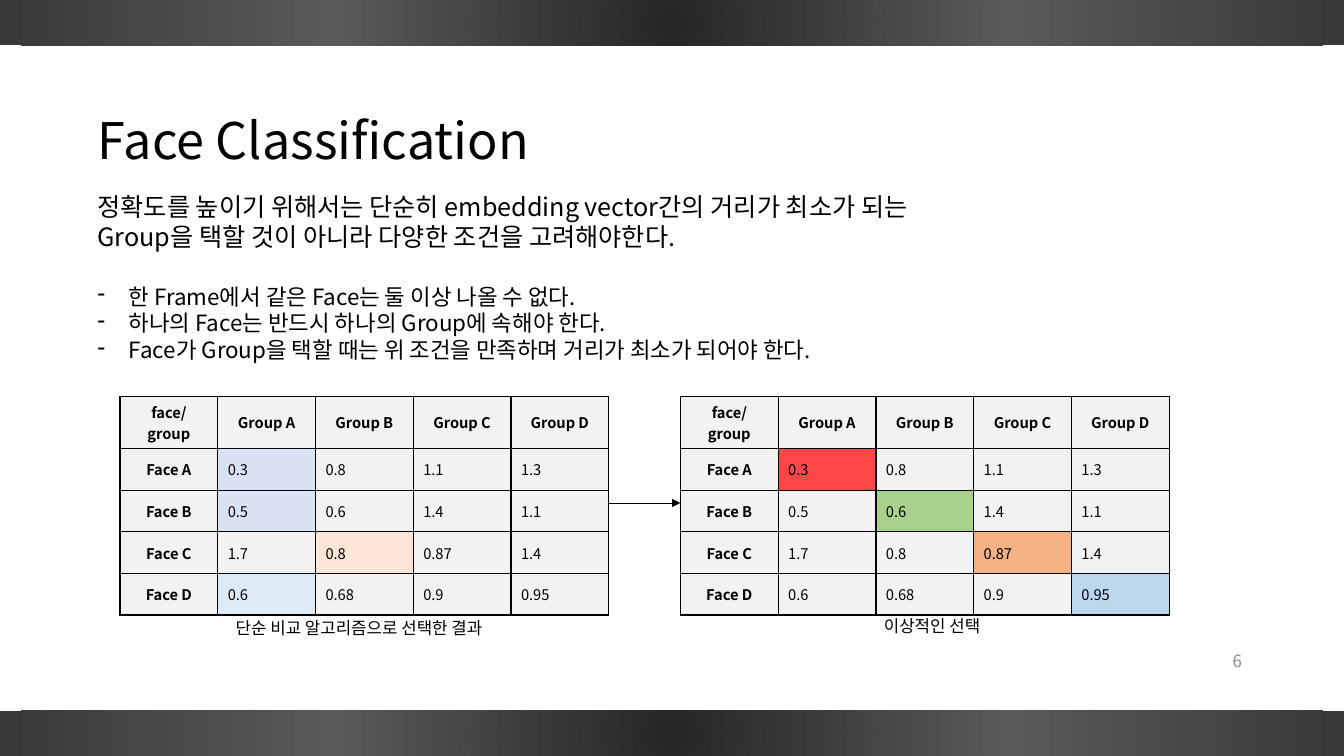
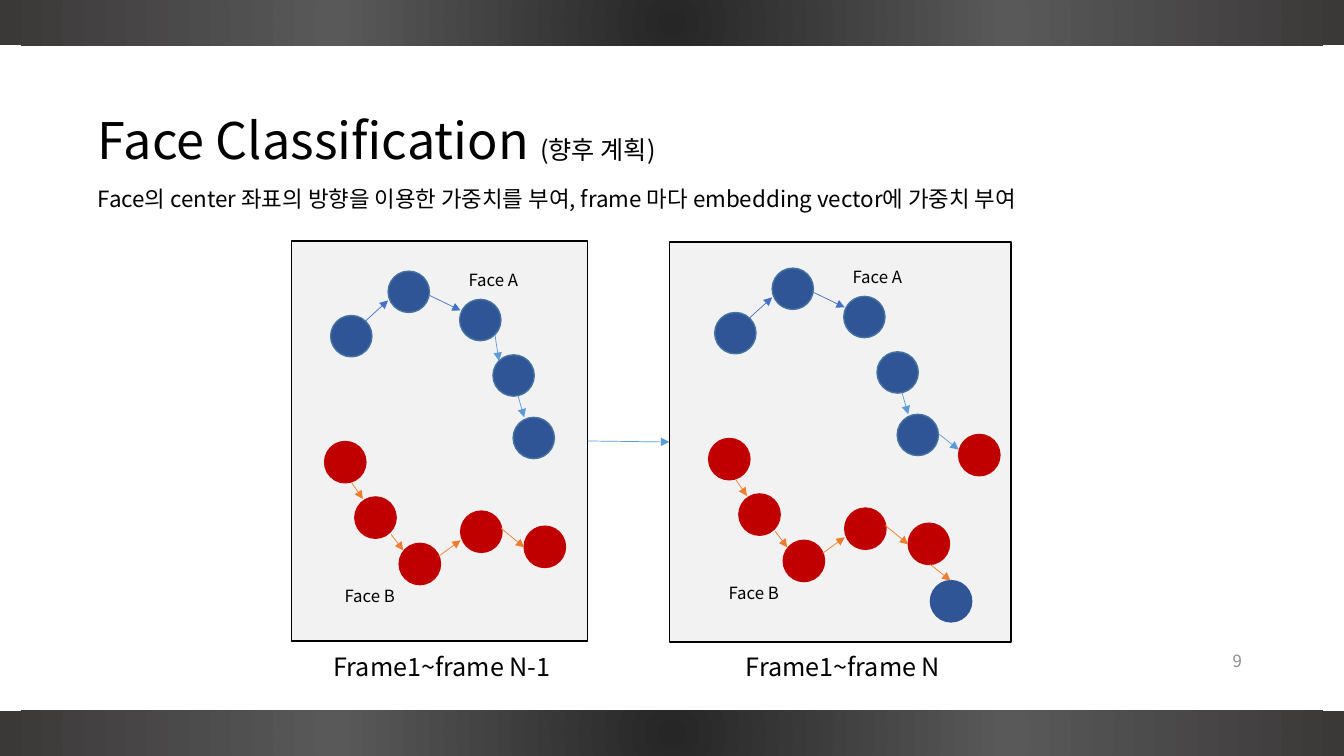
from lxml.etree import SubElement as Sub
from pptx import Presentation
from pptx.dml.color import RGBColor as RGB
from pptx.enum.shapes import MSO_CONNECTOR as LINK, MSO_SHAPE as KIND
from pptx.enum.text import MSO_ANCHOR as ANCHOR, MSO_AUTO_SIZE as AUTO, PP_ALIGN as ALIGN
from pptx.oxml import parse_xml
from pptx.oxml.ns import nsdecls, qn
from pptx.util import Inches, Pt

FONT = "Noto Sans CJK KR"
WIDE, HIGH = 133.33, 75
HEX = {
    "black": "000000", "gray": "8C8C8C", "pale": "F2F2F2",
    "dark": "262626", "mid": "595959", "edge": "3B3838",
    "mist": "DAE3F3", "peach": "FBE5D6", "ice": "DEEBF7",
    "coral": "FF4747", "green": "A9D18E", "amber": "F4B183", "light": "BDD7EE",
    "red": "C00000", "navy": "2F5597", "steel": "43739E",
    "orange": "ED7D31", "royal": "4472C4", "sky": "5B9BD5",
}
GROUPS = ["face/group", "Group A", "Group B", "Group C", "Group D"]
ROWS = [
    ["Face A", "0.3", "0.8", "1.1", "1.3"],
    ["Face B", "0.5", "0.6", "1.4", "1.1"],
    ["Face C", "1.7", "0.8", "0.87", "1.4"],
    ["Face D", "0.6", "0.68", "0.9", "0.95"],
]
REDS = [(3.3, 19.9), (6.3, 25.4), (10.7, 30), (16.8, 26.8), (23.1, 28.3)]
BLUES = [(3.9, 7.4), (9.6, 3), (16.7, 5.8), (20, 11.3), (22, 17.5)]
STEPS = [
    ("orange", 6, 24, 7.1, 25.6), ("orange", 9.9, 29.1, 11.1, 30.7),
    ("orange", 14.6, 31.3, 16.8, 29.7), ("orange", 20.8, 28.5, 23.1, 30.4),
    ("royal", 7.3, 8, 9.6, 5.9), ("royal", 13.7, 5.4, 16.8, 6.9),
    ("sky", 22.5, 15.4, 23.1, 17.5),
]
DOT = 4.1
HEAD, ROW, COL = 5.2, 4.13, 9.7


def cells(*nums):
    return [Inches(n / 10) for n in nums]


def color(name):
    return RGB.from_string(HEX[name])


def style(run, size, tint="black", bold=False):
    font = run.font
    font.size, font.bold = Pt(size), bold
    font.color.rgb = color(tint)
    font.name = FONT
    Sub(run._r.get_or_add_rPr(), qn("a:ea"), typeface=FONT)


def label(slide, box, text, size, tint="black", align=ALIGN.LEFT, anchor=ANCHOR.TOP):
    frame = slide.shapes.add_textbox(*cells(*box)).text_frame
    frame.word_wrap, frame.vertical_anchor = True, anchor
    frame.text = text
    for para in frame.paragraphs:
        para.alignment = align
        style(para.runs[0], size, tint)
    return frame


def shape(slide, kind, box, fill, edge=None):
    item = slide.shapes.add_shape(kind, *cells(*box))
    item.shadow.inherit = False
    item.fill.solid()
    item.fill.fore_color.rgb = color(fill)
    if edge:
        item.line.color.rgb = color(edge)
        item.line.width = Pt(1)
    else:
        item.line.fill.background()
    return item


def arrow(slide, ends, tint):
    link = slide.shapes.add_connector(LINK.STRAIGHT, *cells(*ends))
    link.line.color.rgb = color(tint)
    link.line.width = Pt(0.5)
    Sub(link.line._get_or_add_ln(), qn("a:tailEnd"), type="triangle")
    Sub(link._element.spPr, qn("a:effectLst"))
    return link


def band(slide, top):
    bar = shape(slide, KIND.RECTANGLE, (0, top, WIDE, 4.5), "dark")
    stops = "".join(
        f'<a:gs pos="{pos}"><a:srgbClr val="{HEX[name]}"/></a:gs>'
        for pos, name in ((0, "dark"), (50000, "mid"), (100000, "edge")))
    props = bar._element.spPr
    props.replace(props.find(qn("a:solidFill")), parse_xml(
        f'<a:gradFill {nsdecls("a")}><a:gsLst>{stops}</a:gsLst><a:path path="circle">'
        '<a:fillToRect l="50000" t="50000" r="50000" b="50000"/></a:path></a:gradFill>'))


def page(deck, number, *parts):
    slide = deck.slides.add_slide(deck.slide_layouts[5])
    title = slide.shapes.title
    title.left, title.top, title.width, title.height = cells(8.7, 10.5, 85.5, 7.5)
    frame = title.text_frame
    frame.auto_size, frame.vertical_anchor = AUTO.NONE, ANCHOR.MIDDLE
    para = frame.paragraphs[0]
    para.alignment, para.line_spacing = ALIGN.LEFT, 0.9
    for text, size in parts:
        run = para.add_run()
        run.text = text
        style(run, size)
    label(slide, (94.2, 63.6, 30, 4), number, 12, "gray", ALIGN.RIGHT, ANCHOR.MIDDLE)
    for top in (0, HIGH - 4.5):
        band(slide, top)
    return slide


def border(cell):
    props = cell._tc.get_or_add_tcPr()
    for spot, side in enumerate(("lnL", "lnR", "lnT", "lnB")):
        props.insert(spot, parse_xml(
            f'<a:{side} {nsdecls("a")} w="12700"><a:solidFill>'
            f'<a:srgbClr val="{HEX["black"]}"/></a:solidFill></a:{side}>'))


def grid(slide, left, top, marks):
    data = [GROUPS] + ROWS
    box = (left, top, COL * len(GROUPS), HEAD + ROW * len(ROWS))
    table = slide.shapes.add_table(len(data), len(GROUPS), *cells(*box)).table
    table.first_row = table.horz_banding = False
    for col in table.columns:
        col.width = Inches(COL / 10)
    for y, row in enumerate(data):
        table.rows[y].height = Inches((ROW if y else HEAD) / 10)
        for x, text in enumerate(row):
            head = x == 0 or y == 0
            cell = table.cell(y, x)
            cell.text = text
            cell.vertical_anchor = ANCHOR.MIDDLE
            cell.fill.solid()
            cell.fill.fore_color.rgb = color(marks.get((y, x), "pale"))
            border(cell)
            para = cell.text_frame.paragraphs[0]
            para.alignment = ALIGN.CENTER if head else ALIGN.LEFT
            style(para.runs[0], 10.5, bold=head)


def rules(slide, box, intro, points):
    frame = label(slide, box, "\n".join(intro), 18)
    for spot, text in enumerate(points):
        para = frame.add_paragraph()
        para.text = text
        if spot == 0:
            para.space_before = Pt(22)
        props = para._p.get_or_add_pPr()
        props.set("marL", str(Inches(0.31)))
        props.set("indent", str(-Inches(0.31)))
        Sub(props, qn("a:buFontTx"))
        Sub(props, qn("a:buChar"), char="-")
        style(para.runs[0], 16)


def panel(slide, box, origin, note, dots, steps):
    left, top = origin
    card = shape(slide, KIND.RECTANGLE, box, "pale", "black")
    dots = ([(x, y, "red", "red") for x, y in REDS]
            + [(x, y, "navy", "steel") for x, y in BLUES] + dots)
    for x, y, fill, edge in dots:
        shape(slide, KIND.OVAL, (left + x, top + y, DOT, DOT), fill, edge)
    for tint, x, y, right, low in STEPS + steps:
        arrow(slide, (left + x, top + y, left + right, top + low), tint)
    for text, x, y in (("Face A", 16.6, 2.4), ("Face B", 4.3, 33.7)):
        label(slide, (left + x, top + y, 7.4, 3), text, 12)
    x, width, text = note
    label(slide, (left + x, 64.1, width, 4), text, 18)
    return card


def choice(deck):
    slide = page(deck, "6", ("Face Classification", 36))
    grid(slide, 11.9, 39.3,
         {(1, 1): "mist", (2, 1): "mist", (3, 2): "peach", (4, 1): "ice"})
    grid(slide, 67.5, 39.3,
         {(1, 1): "coral", (2, 2): "green", (3, 3): "amber", (4, 4): "light"})
    arrow(slide, (60.4, 49.9, 67.5, 49.9), "black")
    rules(slide, (8.7, 18.5, 90.7, 21.2), [
        "정확도를 높이기 위해서는 단순히 embedding vector간의 거리가 최소가 되는",
        "Group을 택할 것이 아니라 다양한 조건을 고려해야한다.",
    ], [
        "한 Frame에서 같은 Face는 둘 이상 나올 수 없다.",
        "하나의 Face는 반드시 하나의 Group에 속해야 한다.",
        "Face가 Group을 택할 때는 위 조건을 만족하며 거리가 최소가 되어야 한다.",
    ])
    label(slide, (22.4, 60.8, 29.6, 3), "단순 비교 알고리즘으로 선택한 결과", 12)
    label(slide, (86.7, 60.6, 12.7, 3), "이상적인 선택", 12)


def plan(deck):
    slide = page(deck, "9", ("Face Classification ", 36), ("(향후 계획)", 18))
    label(slide, (8.7, 17.9, 102, 3.7),
          "Face의 center 좌표의 방향을 이용한 가중치를 부여, "
          "frame 마다 embedding vector에 가중치 부여", 16)
    past = panel(slide, (28.9, 23.9, 29.4, 39.7), (28.9, 23.9),
                 (3.2, 25, "Frame1~frame N-1"), [],
                 [("sky", 20.2, 9.3, 20.6, 11.9)])
    now = panel(slide, (66.4, 24, 33.9, 39.7), (67, 23.6),
                (6, 23, "Frame1~frame N"),
                [(25.3, 34, "navy", "navy"), (28.1, 19.5, "red", "red")],
                [("orange", 25.3, 32.4, 27.3, 34), ("sky", 26.2, 19.5, 28.1, 21)])
    link = arrow(slide, (58.3, 43.8, 66.4, 43.8), "sky")
    link.begin_connect(past, 3)
    link.end_connect(now, 1)


def main():
    deck = Presentation()
    deck.slide_width, deck.slide_height = cells(WIDE, HIGH)
    choice(deck)
    plan(deck)
    deck.save("out.pptx")


if __name__ == "__main__":
    main()
